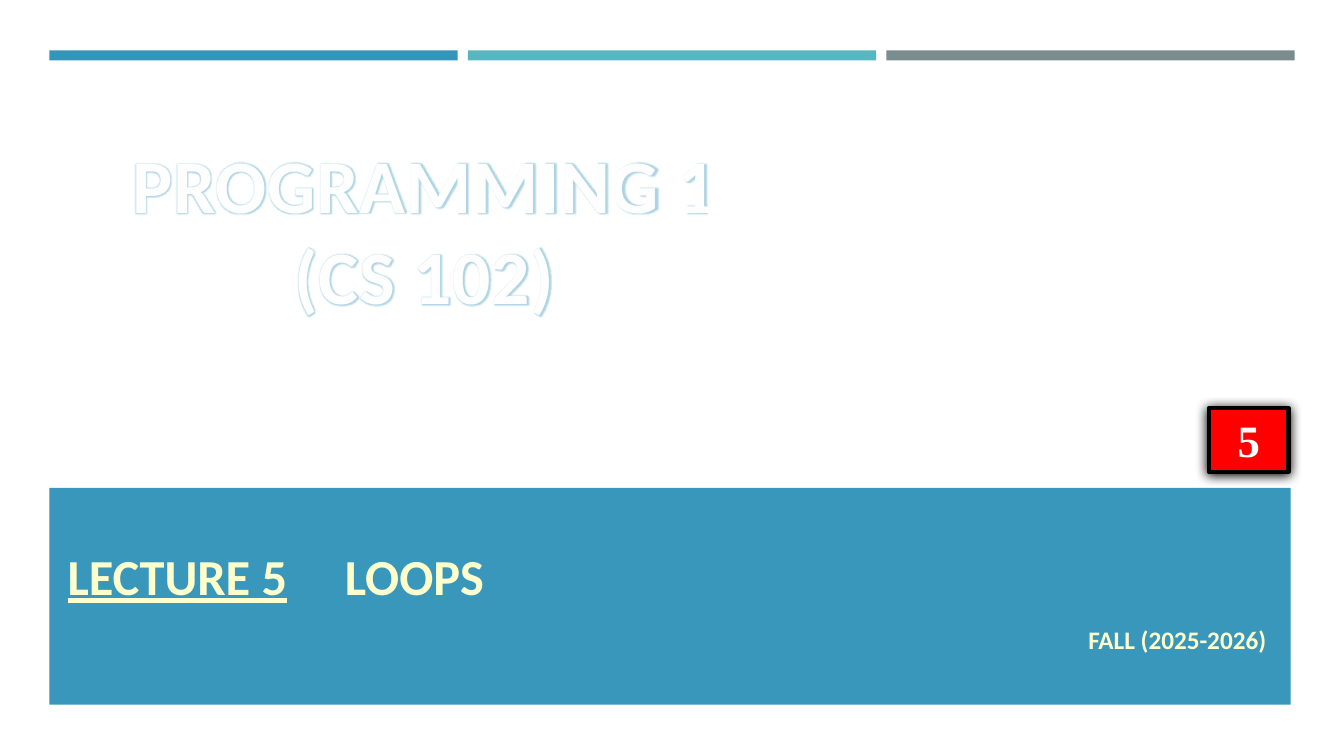
from dataclasses import dataclass

from lxml.etree import SubElement
from pptx import Presentation
from pptx.dml.color import RGBColor
from pptx.enum.shapes import MSO_SHAPE
from pptx.enum.text import MSO_ANCHOR, MSO_AUTO_SIZE, PP_ALIGN
from pptx.oxml import parse_xml
from pptx.oxml.ns import qn
from pptx.util import Inches, Pt

DRAWING_NS = 'xmlns:a="http://schemas.openxmlformats.org/drawingml/2006/main"'
WHITE, BLUE, TEAL, GRAY = "FFFFFF", "3494BA", "58B6C0", "7A8C8E"
CREAM, RED, BLACK, OFF_WHITE = "FFFFCC", "FF0000", "000000", "FEFEFE"


@dataclass
class Box:
    left: float
    top: float
    width: float
    height: float

    def lengths(self) -> list:
        return [Inches(v) for v in (self.left, self.top, self.width, self.height)]


@dataclass
class Panel:
    box: Box
    color: str


def rgb(color: str) -> RGBColor:
    return RGBColor.from_string(color)


def add_panel(slide, panel: Panel):
    shape = slide.shapes.add_shape(MSO_SHAPE.RECTANGLE, *panel.box.lengths())
    shape.shadow.inherit = False
    shape.fill.solid()
    shape.fill.fore_color.rgb = rgb(panel.color)
    shape.line.fill.background()
    return shape


def place(shape, box: Box) -> None:
    shape.left, shape.top, shape.width, shape.height = box.lengths()


def style(paragraph, size: float, color: str, align, name: str = "Calibri") -> None:
    paragraph.alignment = align
    font = paragraph.font
    font.name, font.size, font.bold = name, Pt(size), True
    font.color.rgb = rgb(color)


def add_glowing_outline(run, color: str) -> None:
    properties = run.font._element.get_or_add_rPr() if hasattr(
        run.font._element, "get_or_add_rPr") else run._r.get_or_add_rPr()
    properties.set("spc", "50")
    properties.append(parse_xml(
        f'<a:ln {DRAWING_NS} w="9525"><a:solidFill><a:srgbClr val="{color}"/>'
        '</a:solidFill><a:prstDash val="solid"/></a:ln>'))
    properties.append(parse_xml(
        f'<a:solidFill {DRAWING_NS}><a:srgbClr val="{OFF_WHITE}"/></a:solidFill>'))
    properties.append(parse_xml(
        f'<a:effectLst {DRAWING_NS}><a:glow rad="38100"><a:srgbClr val="{color}">'
        '<a:alpha val="40000"/></a:srgbClr></a:glow></a:effectLst>'))


def main() -> None:
    prs = Presentation()
    prs.slide_width, prs.slide_height = Inches(13.33), Inches(7.5)
    slide = prs.slides.add_slide(prs.slide_layouts[0])
    lecture, term = slide.placeholders

    # Backdrop, top bars and lecture band
    backdrop = add_panel(slide, Panel(Box(0, 0, 13.33, 7.5), WHITE))
    bars = [add_panel(slide, Panel(Box(0.49 + 4.15 * i, 0.5, 4.05, 0.1), color))
            for i, color in enumerate((BLUE, TEAL, GRAY))]
    band = add_panel(slide, Panel(Box(0.49, 4.84, 12.31, 2.15), BLUE))
    band_color = band.fill._xPr.find(qn("a:solidFill"))[0]
    SubElement(band_color, qn("a:alpha")).set("val", "97000")
    for panel in (backdrop, *bars, band):
        lecture._element.addprevious(panel._element)

    # Lecture title
    place(lecture, Box(0.49, 4.56, 12.54, 1.5))
    frame = lecture.text_frame
    frame.vertical_anchor = MSO_ANCHOR.BOTTOM
    frame.margin_left = Inches(0.18)
    heading = frame.paragraphs[0]
    style(heading, 36, CREAM, PP_ALIGN.LEFT)
    heading.line_spacing = 1.5
    number = heading.add_run()
    number.text = "LECTURE 5"
    number.font.underline = True
    heading.add_run().text = "\tLOOPS"
    tabs = parse_xml(f'<a:tabLst {DRAWING_NS}>'
                     f'<a:tab pos="{Inches(2.75)}" algn="l"/></a:tabLst>')
    heading._p.get_or_add_pPr().find(qn("a:defRPr")).addprevious(tabs)

    # Term
    place(term, Box(0.64, 6.14, 12.02, 0.53))
    term.text_frame.text = "FALL (2025-2026)"
    style(term.text_frame.paragraphs[0], 18, CREAM, PP_ALIGN.RIGHT)
    term.text_frame.paragraphs[0].space_after = Pt(6)

    # Lecture number badge
    badge = add_panel(slide, Panel(Box(11.99, 4.05, 0.79, 0.63), RED))
    badge.line.color.rgb = rgb(BLACK)
    badge.line.width = Pt(3)
    SubElement(badge.line._get_or_add_ln(), qn("a:round"))
    effects = badge._element.spPr.find(qn("a:effectLst"))
    effects.append(parse_xml(
        f'<a:outerShdw {DRAWING_NS} blurRad="{Pt(8.5)}" dist="{Pt(1)}" dir="5400000">'
        f'<a:srgbClr val="{BLACK}"/></a:outerShdw>'))
    badge.text_frame.text = "5"
    badge.text_frame.vertical_anchor = MSO_ANCHOR.MIDDLE
    style(badge.text_frame.paragraphs[0], 32, WHITE, PP_ALIGN.CENTER, "Times New Roman")

    # Course name
    course = slide.shapes.add_textbox(*Box(0.64, 1.32, 7.14, 1.92).lengths())
    course.text_frame.text = "PROGRAMMING 1\n(CS 102)"
    course.text_frame.word_wrap = False
    course.text_frame.auto_size = MSO_AUTO_SIZE.SHAPE_TO_FIT_TEXT
    for paragraph in course.text_frame.paragraphs:
        style(paragraph, 54, OFF_WHITE, PP_ALIGN.CENTER)
        add_glowing_outline(paragraph.runs[0], BLUE)

    prs.save("out.pptx")


if __name__ == "__main__":
    main()
